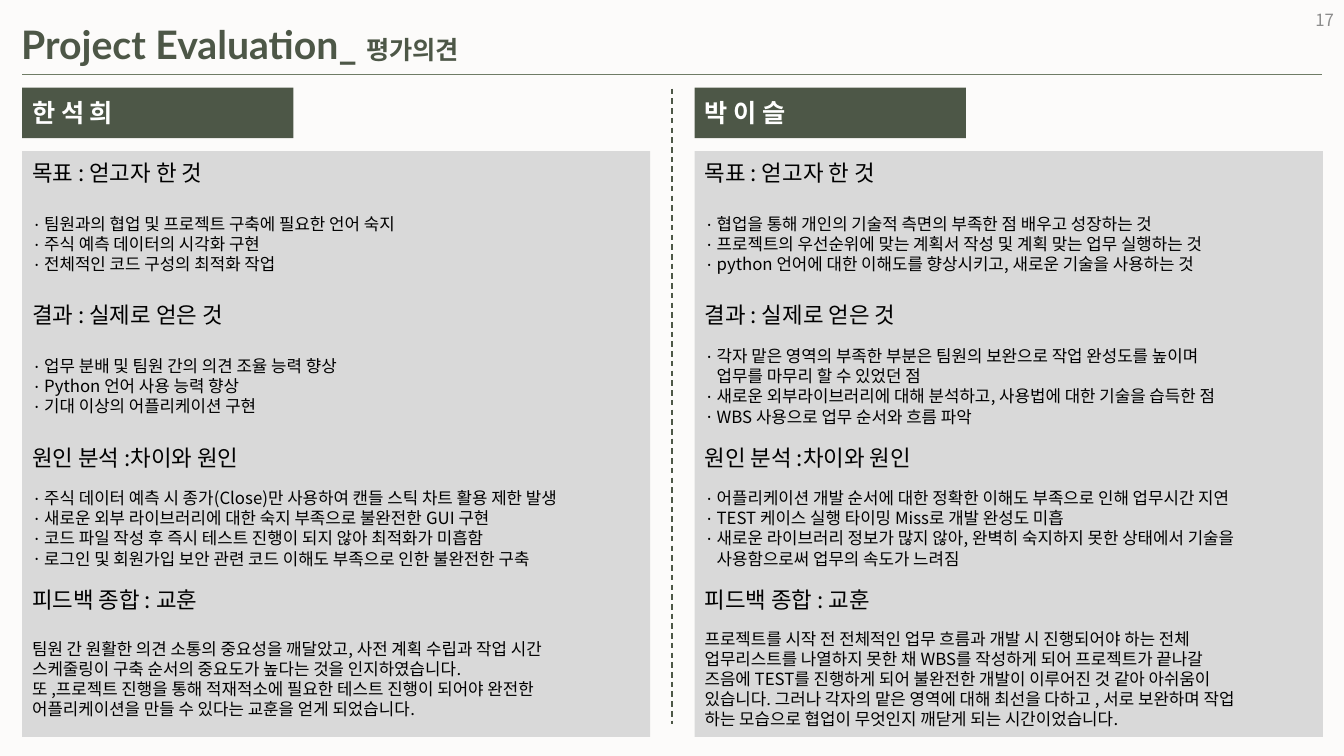
from pptx import Presentation
from pptx.dml.color import RGBColor
from pptx.enum.dml import MSO_LINE
from pptx.enum.shapes import MSO_CONNECTOR, MSO_SHAPE
from pptx.enum.text import MSO_ANCHOR, PP_ALIGN
from pptx.oxml.ns import qn
from pptx.util import Inches, Pt
from lxml import etree

RECT = MSO_SHAPE.RECTANGLE
STRAIGHT = MSO_CONNECTOR.STRAIGHT
DASH = MSO_LINE.DASH
TOP, MIDDLE = MSO_ANCHOR.TOP, MSO_ANCHOR.MIDDLE
LEFT, RIGHT = PP_ALIGN.LEFT, PP_ALIGN.RIGHT

COLORS = {
    "background": "FCFBFA", "green": "4D5747", "rule": "6F7C66",
    "panel": "D9D9D9", "text": "000000", "white": "FFFFFF", "number": "8C8C8C",
}
KOREAN, LATIN = "Noto Sans CJK KR", "Lato"
WIDTH, HEIGHT = 13.33, 7.5
MARGIN = 0.22
COLUMN_WIDTH, COLUMN_PITCH = 6.23, 6.67
COLUMN_TOP, COLUMN_HEIGHT = 0.87, 6.44
NAME_WIDTH, NAME_HEIGHT = 2.69, 0.5
PANEL_OFFSET = 0.63
HEADING_HEIGHT, SECTION_PITCH = 0.43, 1.41
BULLET_INDENT = 0.12

HEADINGS = ["목표 : 얻고자 한 것", "결과 : 실제로 얻은 것", "원인 분석 :차이와 원인", "피드백 종합 : 교훈"]
REVIEWS = {
    "한 석 희": [
        ["팀원과의 협업 및 프로젝트 구축에 필요한 언어 숙지",
         "주식 예측 데이터의 시각화 구현",
         "전체적인 코드 구성의 최적화 작업"],
        ["업무 분배 및 팀원 간의 의견 조율 능력 향상",
         "Python 언어 사용 능력 향상",
         "기대 이상의 어플리케이션 구현"],
        ["주식 데이터 예측 시 종가(Close)만 사용하여 캔들 스틱 차트 활용 제한 발생",
         "새로운 외부 라이브러리에 대한 숙지 부족으로 불완전한 GUI 구현",
         "코드 파일 작성 후 즉시 테스트 진행이 되지 않아 최적화가 미흡함",
         "로그인 및 회원가입 보안 관련 코드 이해도 부족으로 인한 불완전한 구축"],
        ["팀원 간 원활한 의견 소통의 중요성을 깨달았고, 사전 계획 수립과 작업 시간",
         "스케줄링이 구축 순서의 중요도가 높다는 것을 인지하였습니다.",
         "또 ,프로젝트 진행을 통해 적재적소에 필요한 테스트 진행이 되어야 완전한",
         "어플리케이션을 만들 수 있다는 교훈을 얻게 되었습니다."],
    ],
    "박 이 슬": [
        ["협업을 통해 개인의 기술적 측면의 부족한 점 배우고 성장하는 것",
         "프로젝트의 우선순위에 맞는 계획서 작성 및 계획 맞는 업무 실행하는 것",
         "python 언어에 대한 이해도를 향상시키고, 새로운 기술을 사용하는 것"],
        ["각자 맡은 영역의 부족한 부분은 팀원의 보완으로 작업 완성도를 높이며\v업무를 마무리 할 수 있었던 점",
         "새로운 외부라이브러리에 대해 분석하고, 사용법에 대한 기술을 습득한 점",
         "WBS 사용으로 업무 순서와 흐름 파악"],
        ["어플리케이션 개발 순서에 대한 정확한 이해도 부족으로 인해 업무시간 지연",
         "TEST 케이스 실행 타이밍 Miss로 개발 완성도 미흡",
         "새로운 라이브러리 정보가 많지 않아, 완벽히 숙지하지 못한 상태에서 기술을\v사용함으로써 업무의 속도가 느려짐"],
        ["프로젝트를 시작 전 전체적인 업무 흐름과 개발 시 진행되어야 하는 전체",
         "업무리스트를 나열하지 못한 채 WBS를 작성하게 되어 프로젝트가 끝나갈",
         "즈음에 TEST를 진행하게 되어 불완전한 개발이 이루어진 것 같아 아쉬움이",
         "있습니다. 그러나 각자의 맡은 영역에 대해 최선을 다하고 , 서로 보완하며 작업",
         "하는 모습으로 협업이 무엇인지 깨닫게 되는 시간이었습니다."],
    ],
}


def rgb(name):
    return RGBColor.from_string(COLORS[name])


def format_run(run, size, color, bold=False, latin=KOREAN):
    run.font.size = Pt(size)
    run.font.bold = bold
    run.font.name = latin
    run.font.color.rgb = rgb(color)
    east_asian = etree.Element(qn("a:ea"), typeface=KOREAN)
    run.font._element.find(qn("a:latin")).addnext(east_asian)


def add_bullet(paragraph):
    properties = paragraph._p.get_or_add_pPr()
    properties.set("marL", str(Inches(BULLET_INDENT)))
    properties.set("indent", str(-Inches(BULLET_INDENT)))
    etree.SubElement(properties, qn("a:buFont"), typeface=KOREAN)
    etree.SubElement(properties, qn("a:buChar"), char="·")


def fill_text(frame, lines, size, color, bold=False, bullets=False, align=LEFT, spacing=None):
    frame.word_wrap = True
    frame.vertical_anchor = MIDDLE
    frame.text = "\n".join(lines)
    for paragraph in frame.paragraphs:
        if bullets:
            add_bullet(paragraph)
        paragraph.alignment = align
        paragraph.line_spacing = spacing
        for run in paragraph.runs:
            format_run(run, size, color, bold)


def add_text(slide, box, lines, size, color, **options):
    textbox = slide.shapes.add_textbox(*map(Inches, box))
    fill_text(textbox.text_frame, lines, size, color, **options)


def add_block(slide, box, color):
    block = slide.shapes.add_shape(RECT, *map(Inches, box))
    block.shadow.inherit = False
    block.fill.solid()
    block.fill.fore_color.rgb = rgb(color)
    block.line.fill.background()
    return block


def add_rule(slide, start, end, color, dash=None):
    rule = slide.shapes.add_connector(STRAIGHT, *map(Inches, start + end))
    rule.line.color.rgb = rgb(color)
    rule.line.width = Pt(1)
    if dash:
        rule.line.dash_style = dash
    etree.SubElement(rule._element.spPr, qn("a:effectLst"))


def add_header(slide, left, top, width, height):
    title = slide.shapes.title
    title.left, title.top, title.width, title.height = map(Inches, (left, top, width, height))
    frame = title.text_frame
    frame.word_wrap = False
    frame.vertical_anchor = TOP
    heading = frame.paragraphs[0]
    heading.alignment = LEFT
    heading.line_spacing = 1.0
    for words, size in (("Project Evaluation_ ", 28), ("평가의견", 18)):
        part = heading.add_run()
        part.text = words
        format_run(part, size, "green", True, LATIN)
    add_rule(slide, (MARGIN, 0.74), (WIDTH - MARGIN, 0.74), "rule")
    add_text(slide, (WIDTH - 3, 0, 3, 0.4), ["17"], 12, "number", align=RIGHT)


def add_review(slide, left, top, width, height, reviewer, answers):
    name_bar = add_block(slide, (left, top, NAME_WIDTH, NAME_HEIGHT), "green")
    fill_text(name_bar.text_frame, [reviewer], 18, "white", bold=True)
    panel_top = top + PANEL_OFFSET
    add_block(slide, (left, panel_top, width, height - PANEL_OFFSET), "panel")
    last = len(HEADINGS) - 1
    for row, (heading, lines) in enumerate(zip(HEADINGS, answers)):
        section_top = panel_top + row * SECTION_PITCH
        body_top = section_top + HEADING_HEIGHT
        body_bottom = top + height if row == last else section_top + SECTION_PITCH
        add_text(slide, (left, section_top, width, HEADING_HEIGHT), [heading], 16, "text")
        add_text(slide, (left, body_top, width, body_bottom - body_top), lines, 12, "text",
                 bullets=row != last, spacing=Pt(14.4))


def main():
    deck = Presentation()
    deck.slide_width, deck.slide_height = Inches(WIDTH), Inches(HEIGHT)
    slide = deck.slides.add_slide(deck.slide_layouts.get_by_name("Title Only"))
    slide.background.fill.solid()
    slide.background.fill.fore_color.rgb = rgb("background")
    add_header(slide, MARGIN / 2, 0.15, 5.15, 0.57)
    for column, (reviewer, answers) in enumerate(REVIEWS.items()):
        add_review(slide, MARGIN + column * COLUMN_PITCH, COLUMN_TOP, COLUMN_WIDTH,
                   COLUMN_HEIGHT, reviewer, answers)
    add_rule(slide, (WIDTH / 2, 0.88), (WIDTH / 2, 7.18), "green", DASH)
    deck.save("out.pptx")


if __name__ == "__main__":
    main()
